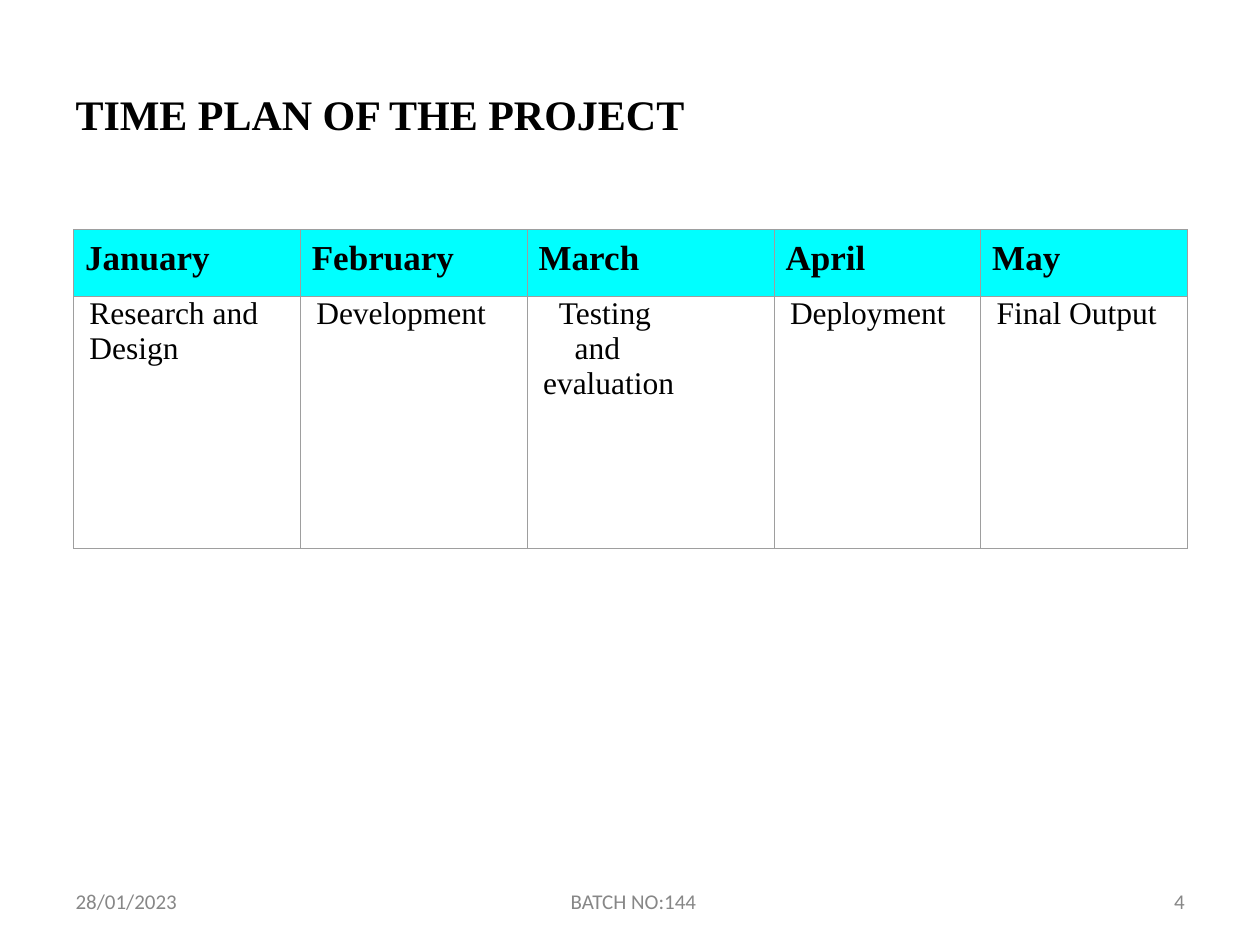
import pptx
import pptx.util
import pptx.dml.color
import pptx.oxml
import pptx.oxml.ns
from dataclasses import dataclass

Pt = pptx.util.Pt


@dataclass(frozen=True)
class Theme:
    serif: str = "Times New Roman"
    sans: str = "Calibri"
    ink: str = "000000"
    grey: str = "878787"
    head: str = "00FFFF"
    rule: str = "9E9E9E"
    title: int = 24
    label: int = 20
    body: int = 18
    foot: int = 12


class Deck:
    """Places elements on a grid of 100 columns by 100 rows."""

    def __init__(self, theme):
        self.theme = theme
        self.prs = pptx.Presentation()
        self.prs.slide_width = pptx.util.Inches(10)
        self.prs.slide_height = pptx.util.Inches(7.5)
        self.slide = self.prs.slides.add_slide(self.prs.slide_layouts[6])

    def col(self, n):
        return round(self.prs.slide_width * n / 100)

    def row(self, n):
        return round(self.prs.slide_height * n / 100)

    def box(self, x, y, w, h):
        return self.col(x), self.row(y), self.col(w), self.row(h)

    def style(self, para, text, size, face, color, bold=False, indent=0):
        para.text = text
        font = para.font
        font.name, font.size, font.bold = face, Pt(size), bold
        font.color.rgb = pptx.dml.color.RGBColor.from_string(color)
        para._p.get_or_add_pPr().set("marL", str(self.col(indent)))

    def text(self, area, text, size, face, color, bold=False, lead=None):
        frame = self.slide.shapes.add_textbox(*self.box(*area)).text_frame
        frame.word_wrap = True
        frame.margin_left = frame.margin_right = 0
        frame.margin_top = frame.margin_bottom = 0
        para = frame.paragraphs[0]
        self.style(para, text, size, face, color, bold, 0.1)
        if lead:
            para.line_spacing = Pt(lead)

    def border(self, cell):
        props = cell._tc.get_or_add_tcPr()
        space = pptx.oxml.ns.nsdecls("a")
        for i, side in enumerate(("lnL", "lnR", "lnT", "lnB")):
            props.insert(i, pptx.oxml.parse_xml(
                f'<a:{side} {space} w="{Pt(0.75)}"><a:solidFill>'
                f'<a:srgbClr val="{self.theme.rule}"/></a:solidFill></a:{side}>'))

    def cell(self, cell, lines, size, bold=False, fill=None, top=0):
        cell.margin_left = cell.margin_right = cell.margin_bottom = 0
        cell.margin_top = self.row(top)
        if fill:
            cell.fill.solid()
            cell.fill.fore_color.rgb = pptx.dml.color.RGBColor.from_string(fill)
        else:
            cell.fill.background()
        frame = cell.text_frame
        for i, (line, indent) in enumerate(lines):
            para = frame.add_paragraph() if i else frame.paragraphs[0]
            self.style(para, line, size, self.theme.serif, self.theme.ink,
                       bold, indent)
        self.border(cell)

    def table(self, x, y, cols, rows, plan):
        area = self.box(x, y, sum(cols), sum(rows))
        grid = self.slide.shapes.add_table(len(rows), len(cols), *area).table
        grid.first_row = grid.horz_banding = False
        for part, width in zip(grid.columns, cols):
            part.width = self.col(width)
        for part, height in zip(grid.rows, rows):
            part.height = self.row(height)
        for i, (month, tasks) in enumerate(plan):
            self.cell(grid.cell(0, i), [(month, 0.9)], self.theme.label,
                      bold=True, fill=self.theme.head, top=1.07)
            self.cell(grid.cell(1, i), tasks, self.theme.body)


def main():
    theme = Theme()
    deck = Deck(theme)

    # Title
    deck.text((5.9, 9.4, 52, 16), "TIME PLAN OF THE PROJECT",
              theme.title, theme.serif, theme.ink, bold=True)

    # Months with their tasks; each task line has its own indent
    step = 1.25
    plan = [
        ("January", [("Research and", step), ("Design", step)]),
        ("February", [("Development", step)]),
        ("March", [("Testing", 2 * step), ("and", 3 * step),
                   ("evaluation", step)]),
        ("April", [("Deployment", step)]),
        ("May", [("Final Output", step)]),
    ]
    deck.table(5.85, 24.3, (18, 18, 19.6, 16.4, 16.4), (7.07, 26.67), plan)

    # Footer
    for x, w, note in ((5.9, 9.1, "28/01/2023"),
                       (45.2, 25.7, "BATCH NO:144"),
                       (93.1, 2, "4")):
        deck.text((x, 94.4, w, 4.4), note, theme.foot, theme.sans,
                  theme.grey, lead=12.4)

    deck.prs.save("out.pptx")


if __name__ == "__main__":
    main()
